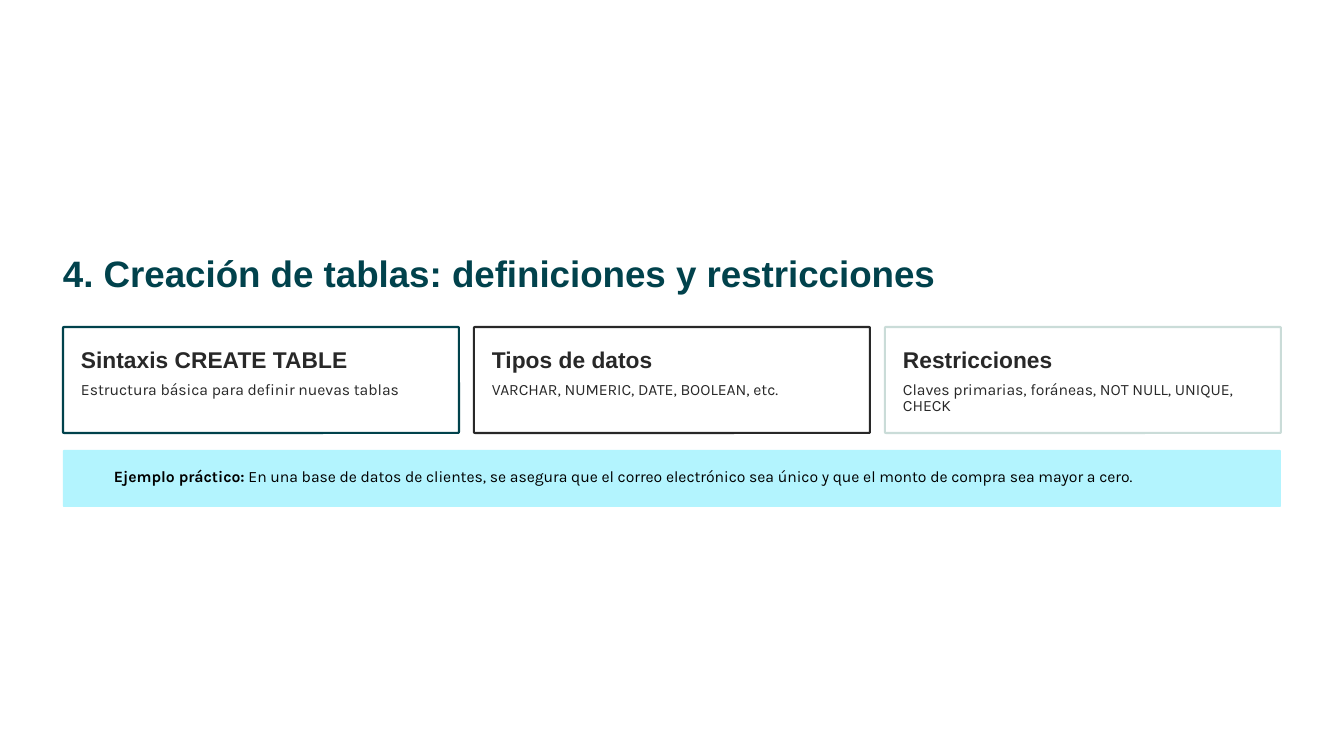
import pptx
import pptx.util
import pptx.dml.color
import pptx.enum.shapes
import pptx.enum.text

PX = 914400 // 84
COLORS = {"white": "FFFFFF", "teal": "01424C", "dark": "282828",
          "mint": "CADCD8", "cyan": "B3F4FE", "black": "000000"}


def add_box(x, y, w, h, radius, fill, line=None):
    sp = slide.shapes.add_shape(pptx.enum.shapes.MSO_SHAPE.ROUNDED_RECTANGLE,
                                x * PX, y * PX, w * PX, h * PX)
    sp.adjustments[0] = radius
    sp.shadow.inherit = False
    sp.fill.solid()
    sp.fill.fore_color.rgb = pptx.dml.color.RGBColor.from_string(COLORS[fill])
    if line:
        sp.line.color.rgb = pptx.dml.color.RGBColor.from_string(COLORS[line])
        sp.line.width = pptx.util.Pt(1.8)
    else:
        sp.line.fill.background()


def add_text(x, y, w, h, runs, font, size, spacing, color):
    sp = slide.shapes.add_textbox(x * PX, y * PX, w * PX, h * PX)
    tf = sp.text_frame
    tf.margin_left = tf.margin_top = tf.margin_right = tf.margin_bottom = 0
    tf.word_wrap = True
    tf.vertical_anchor = pptx.enum.text.MSO_ANCHOR.TOP
    p = tf.paragraphs[0]
    p.alignment = pptx.enum.text.PP_ALIGN.LEFT
    p.line_spacing = pptx.util.Pt(spacing)
    for text, bold in runs:
        r = p.add_run()
        r.text = text
        r.font.name = font
        r.font.size = pptx.util.Pt(size)
        r.font.bold = bold
        r.font.color.rgb = pptx.dml.color.RGBColor.from_string(COLORS[color])


prs = pptx.Presentation()
prs.slide_width = pptx.util.Inches(16)
prs.slide_height = pptx.util.Inches(9)
slide = prs.slides.add_slide(prs.slide_layouts[6])
slide.background.fill.solid()
slide.background.fill.fore_color.rgb = pptx.dml.color.RGBColor.from_string(COLORS["white"])

add_text(63, 249, 1218, 46, [("4. Creación de tablas: definiciones y restricciones", True)],
         "Arial", 31.5, 39.5, "teal")

cards = [
    ("Sintaxis CREATE TABLE", "Estructura básica para definir nuevas tablas", "teal"),
    ("Tipos de datos", "VARCHAR, NUMERIC, DATE, BOOLEAN, etc.", "dark"),
    ("Restricciones", "Claves primarias, foráneas, NOT NULL, UNIQUE, CHECK", "mint"),
]
for i, (heading, detail, border) in enumerate(cards):
    x = 63 + i * 411
    add_box(x, 327, 396, 106, 0.01, "white", border)
    add_text(x + 18, 345, 360, 28, [(heading, True)], "Arial", 19.5, 24.5, "dark")
    add_text(x + 18, 383, 360, 32, [(detail, False)], "Karla", 13.5, 13.5, "dark")

add_box(63, 450, 1218, 57, 0.02, "cyan")
add_text(114, 470, 1151, 16,
         [("Ejemplo práctico:", True),
          (" En una base de datos de clientes, se asegura que el correo electrónico "
           "sea único y que el monto de compra sea mayor a cero.", False)],
         "Karla", 13.5, 13.5, "black")

prs.save("out.pptx")
